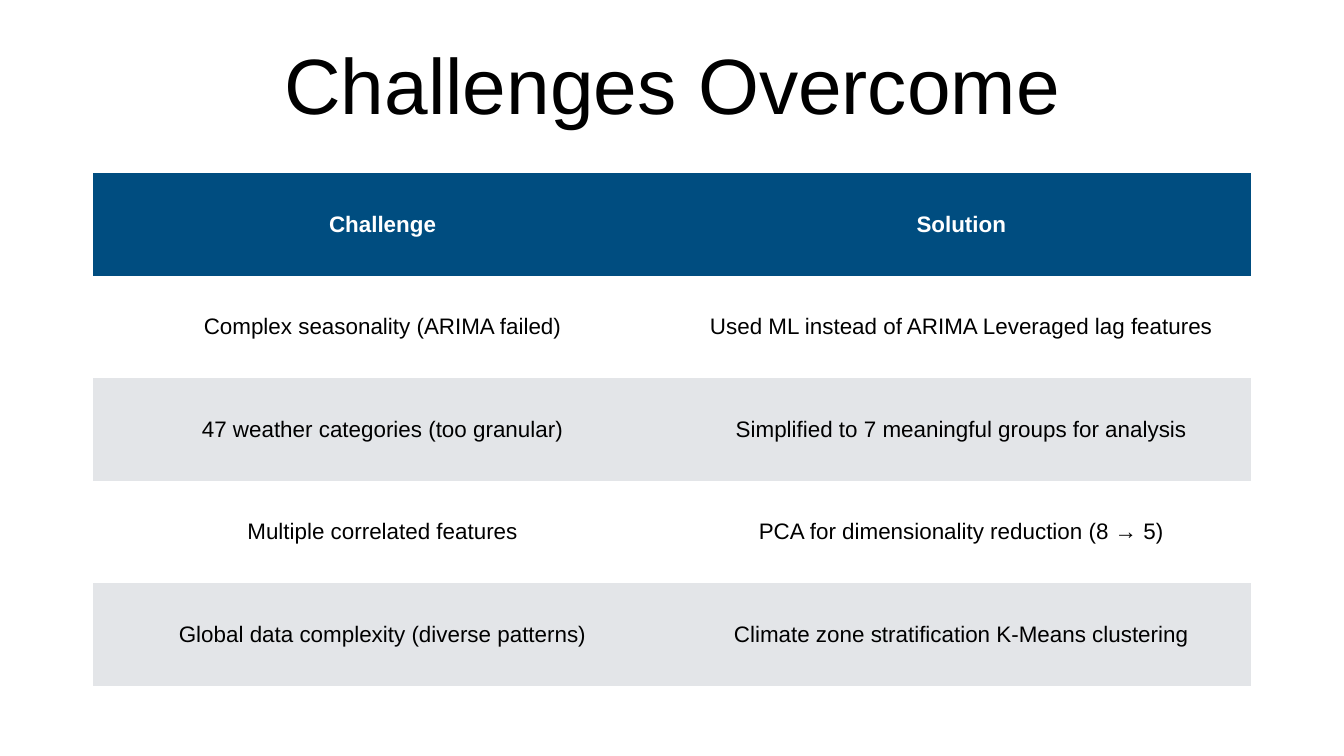
import pptx
import pptx.util
import pptx.dml.color
import pptx.enum.text

Inches = pptx.util.Inches
PP_ALIGN = pptx.enum.text.PP_ALIGN
MSO_ANCHOR = pptx.enum.text.MSO_ANCHOR


def rgb(value):
    return pptx.dml.color.RGBColor.from_string(value)


def write(tf, text, size, color, bold=False):
    p = tf.paragraphs[0]
    p.alignment = PP_ALIGN.CENTER
    r = p.add_run()
    r.text = text
    r.font.name = "Arial"
    r.font.size = pptx.util.Pt(size)
    r.font.bold = bold
    r.font.color.rgb = rgb(color)


prs = pptx.Presentation()
prs.slide_width = Inches(26.67)
prs.slide_height = Inches(15)
s = prs.slides.add_slide(prs.slide_layouts[6])
left, width, inset = Inches(1.85), Inches(22.97), Inches(0.06)

sp = s.shapes.add_textbox(left, Inches(0.39), width, Inches(2.5))
tf = sp.text_frame
tf.word_wrap = True
tf.vertical_anchor = MSO_ANCHOR.MIDDLE
tf.margin_left = tf.margin_right = tf.margin_top = tf.margin_bottom = inset
write(tf, "Challenges Overcome", 112, "000000")

rows = [
    ("Challenge", "Solution"),
    ("Complex seasonality (ARIMA failed)", "Used ML instead of ARIMA Leveraged lag features"),
    ("47 weather categories (too granular)", "Simplified to 7 meaningful groups for analysis"),
    ("Multiple correlated features", "PCA for dimensionality reduction (8 → 5)"),
    ("Global data complexity (diverse patterns)", "Climate zone stratification K-Means clustering"),
]
table = s.shapes.add_table(len(rows), 2, left, Inches(3.44), width, Inches(10.17)).table
no_style_no_grid = "{2D5ABB26-0587-4C30-8999-92F81FD0307C}"
table._tbl.tblPr[0].text = no_style_no_grid

for i, row in enumerate(rows):
    header = i == 0
    fill = "004D80" if header else ("FFFFFF" if i % 2 else "E3E5E8")
    for j, text in enumerate(row):
        cell = table.cell(i, j)
        cell.fill.solid()
        cell.fill.fore_color.rgb = rgb(fill)
        cell.vertical_anchor = MSO_ANCHOR.MIDDLE
        cell.margin_left = cell.margin_right = inset
        cell.margin_top = cell.margin_bottom = inset
        write(cell.text_frame, text, 32, "FFFFFF" if header else "000000", header)

prs.save("out.pptx")
